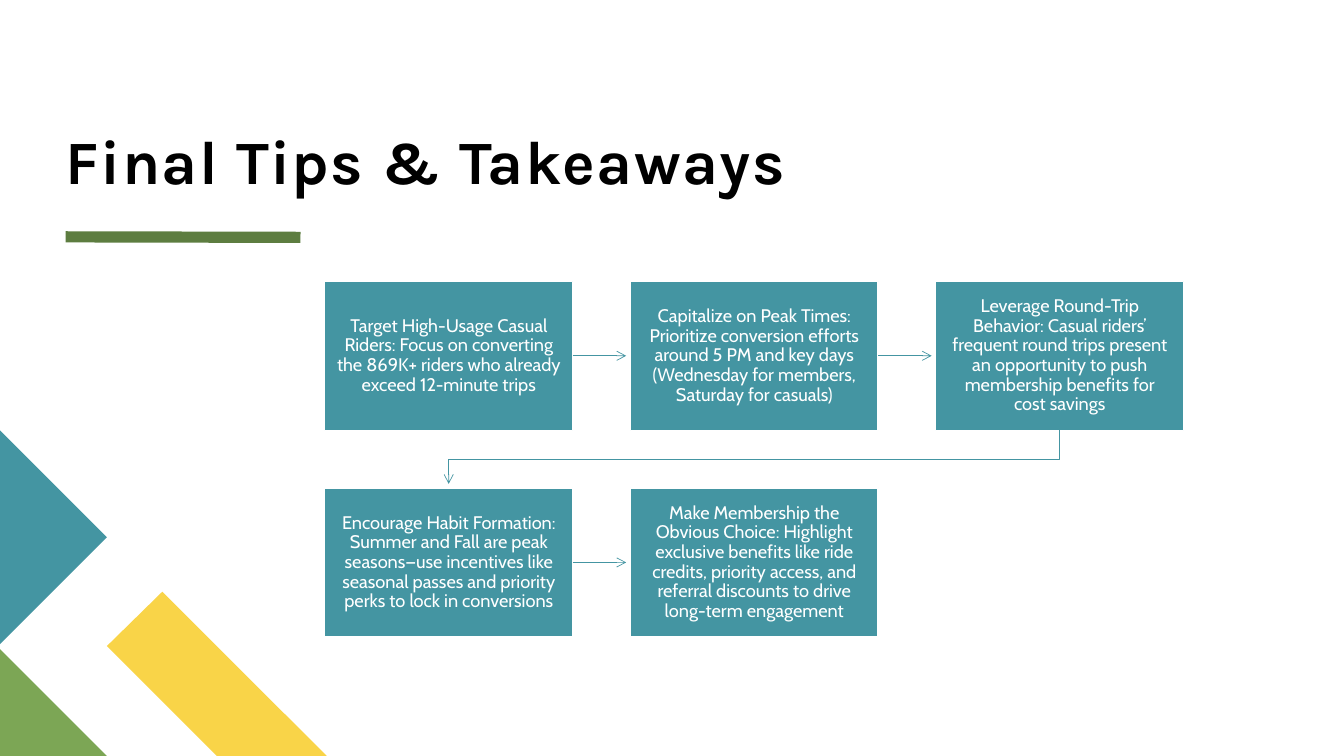
from dataclasses import dataclass

from lxml import etree
from pptx import Presentation
from pptx import util as u
from pptx.dml.color import RGBColor
from pptx.enum import shapes, text
from pptx.oxml import ns


@dataclass(frozen=True)
class Theme:
    teal: str = "4495A2"
    gold: str = "F9D448"
    leaf: str = "7CA655"
    moss: str = "5D7D40"
    ink: str = "000000"
    paper: str = "FFFFFF"
    head: str = "Karla"
    body: str = "Cabin"
    big: float = 44
    small: float = 13
    rule: float = 8
    edge: float = 1
    thin: float = 0.5


@dataclass(frozen=True)
class Tip:
    col: int
    row: int
    words: str


@dataclass(frozen=True)
class Patch:
    color: str
    points: tuple


@dataclass(frozen=True)
class Grid:
    """Card grid, in percent of the slide's width and height."""
    left: float = 24.16
    top: float = 37.2
    wide: float = 18.45
    high: float = 19.73
    col_step: float = 22.73
    row_step: float = 27.33
    gap_x: float = 0.3
    gap_y: float = 0.53


THEME = Theme()
GRID = Grid()
WIDE, HIGH = u.Inches(13.33), u.Inches(7.5)

TIPS = [
    Tip(0, 0, "Target High-Usage Casual Riders: Focus on converting the 869K+ "
              "riders who already exceed 12-minute trips"),
    Tip(1, 0, "Capitalize on Peak Times: Prioritize conversion efforts around 5 PM "
              "and key days (Wednesday for members, Saturday for casuals)"),
    Tip(2, 0, "Leverage Round-Trip Behavior: Casual riders’ frequent round trips "
              "present an opportunity to push membership benefits for cost savings"),
    Tip(0, 1, "Encourage Habit Formation: Summer and Fall are peak seasons—use "
              "incentives like seasonal passes and priority perks to lock in conversions"),
    Tip(1, 1, "Make Membership the Obvious Choice: Highlight exclusive benefits like "
              "ride credits, priority access, and referral discounts to drive "
              "long-term engagement"),
]

PATCHES = [
    Patch(THEME.gold, ((24.31, 100), (16.13, 100), (7.95, 85.47), (12.08, 78.27))),
    Patch(THEME.leaf, ((7.95, 100), (0, 100), (0, 85.87))),
    Patch(THEME.teal, ((0, 56.93), (7.95, 71.07), (0, 85.2))),
]


def px(share: float) -> int:
    """Percent of the slide's width."""
    return round(WIDE * share / 100)


def py(share: float) -> int:
    """Percent of the slide's height."""
    return round(HIGH * share / 100)


def rgb(color: str) -> RGBColor:
    return RGBColor.from_string(color)


def write(shape, words: str, *, face: str, size: float, color: str,
          bold: bool = False, track: float = 0, lead: float = 1,
          align=text.PP_ALIGN.LEFT, anchor=text.MSO_ANCHOR.MIDDLE,
          pad: tuple = (0, 0)) -> None:
    frame = shape.text_frame
    frame.word_wrap = True
    frame.vertical_anchor = anchor
    frame.margin_left = frame.margin_right = px(pad[0])
    frame.margin_top = frame.margin_bottom = py(pad[1])
    para = frame.paragraphs[0]
    para.alignment = align
    para.line_spacing = lead
    run = para.add_run()
    run.text = words
    run.font.name = face
    run.font.size = u.Pt(size)
    run.font.bold = bold
    run.font.color.rgb = rgb(color)
    if track:
        run._r.get_or_add_rPr().set("spc", str(round(track * 100)))


def outline(slide, points, close: bool):
    """Freeform through points given in percent of the slide."""
    spots = [(px(x), py(y)) for x, y in points]
    pen = slide.shapes.build_freeform(*spots[0])
    pen.add_line_segments(spots[1:], close=close)
    shape = pen.convert_to_shape()
    shape.shadow.inherit = False
    return shape


def stroke(shape, color: str, width: float, arrow: bool = False) -> None:
    shape.line.color.rgb = rgb(color)
    shape.line.width = u.Pt(width)
    if arrow:
        etree.SubElement(shape.line._get_or_add_ln(), ns.qn("a:tailEnd"), type="arrow")


def join(slide, start, end, color: str, width: float, arrow: bool = False):
    line = slide.shapes.add_connector(
        shapes.MSO_CONNECTOR.STRAIGHT, px(start[0]), py(start[1]), px(end[0]), py(end[1]))
    stroke(line, color, width, arrow)
    etree.SubElement(line._element.spPr, ns.qn("a:effectLst"))
    return line


def place(tip: Tip) -> tuple[float, float]:
    return GRID.left + tip.col * GRID.col_step, GRID.top + tip.row * GRID.row_step


def card(slide, tip: Tip):
    x, y = place(tip)
    box = slide.shapes.add_shape(shapes.MSO_SHAPE.RECTANGLE,
                                 px(x), py(y), px(GRID.wide), py(GRID.high))
    box.shadow.inherit = False
    box.fill.solid()
    box.fill.fore_color.rgb = rgb(THEME.teal)
    stroke(box, THEME.paper, THEME.edge)
    write(box, tip.words, face=THEME.body, size=THEME.small, color=THEME.paper,
          lead=0.9, align=text.PP_ALIGN.CENTER, pad=(0.9, 1.73))
    return box


def link(slide, box, tip: Tip, after: Tip) -> None:
    """Arrow to the next card: straight in a row, bent to a new row."""
    x, y = place(tip)
    next_x, next_y = place(after)
    if tip.row == after.row:
        mid = y + GRID.high / 2
        line = join(slide, (x + GRID.wide, mid), (next_x - GRID.gap_x, mid),
                    THEME.teal, THEME.thin, arrow=True)
        line.begin_connect(box, 3)
        return
    half, foot = GRID.wide / 2, y + GRID.high
    turn = (foot + next_y) / 2
    bend = outline(slide, [(x + half, foot), (x + half, turn), (next_x + half, turn),
                           (next_x + half, next_y - GRID.gap_y)], close=False)
    bend.fill.background()
    stroke(bend, THEME.teal, THEME.thin, arrow=True)


def main() -> None:
    deck = Presentation()
    deck.slide_width, deck.slide_height = WIDE, HIGH
    slide = deck.slides.add_slide(deck.slide_layouts[6])

    join(slide, (4.88, 31.33), (22.36, 31.4), THEME.moss, THEME.rule)
    for patch in PATCHES:
        shape = outline(slide, patch.points, close=True)
        shape.fill.solid()
        shape.fill.fore_color.rgb = rgb(patch.color)
        shape.line.fill.background()

    title = slide.shapes.add_textbox(px(4.88), py(1.47), px(89.2), py(24.53))
    write(title, "Final Tips & Takeaways", face=THEME.head, size=THEME.big,
          color=THEME.ink, bold=True, track=1, lead=0.8,
          anchor=text.MSO_ANCHOR.BOTTOM)

    boxes = [card(slide, tip) for tip in TIPS]
    for box, tip, after in zip(boxes, TIPS, TIPS[1:]):
        link(slide, box, tip, after)

    deck.save("out.pptx")


if __name__ == "__main__":
    main()
